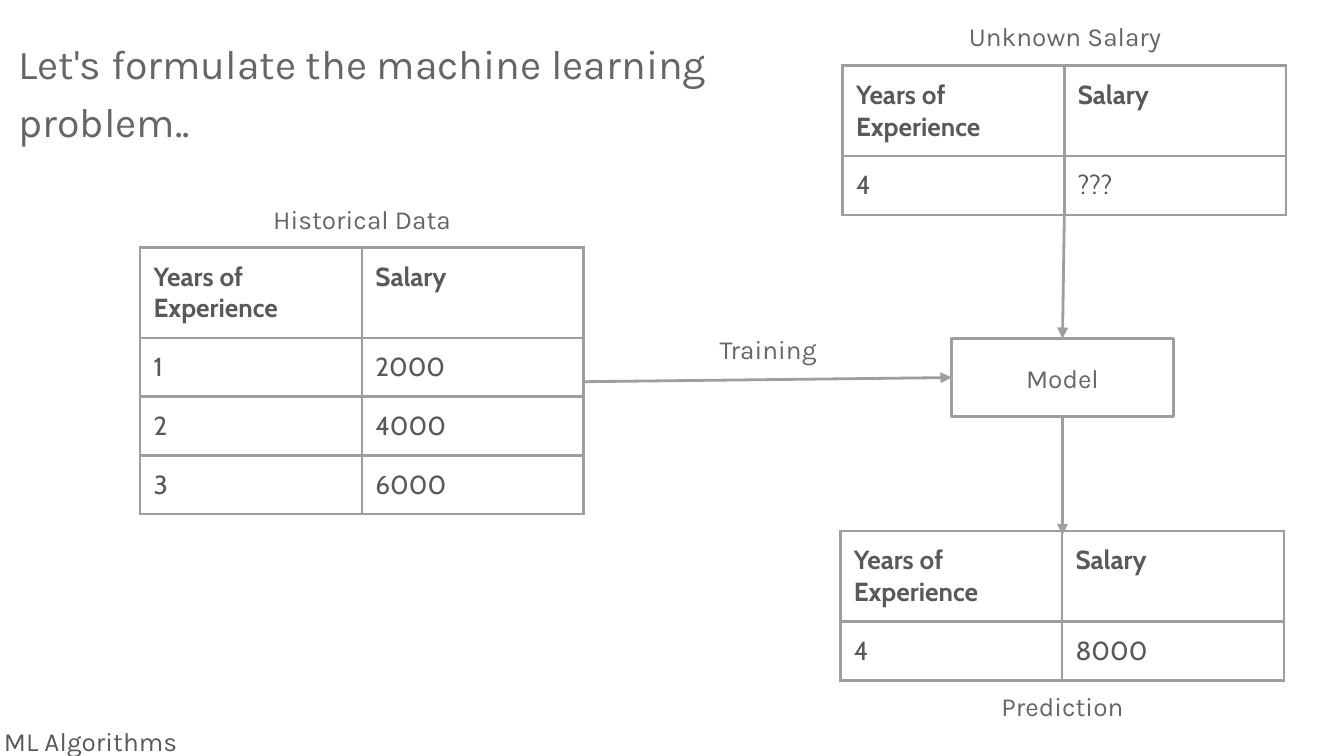
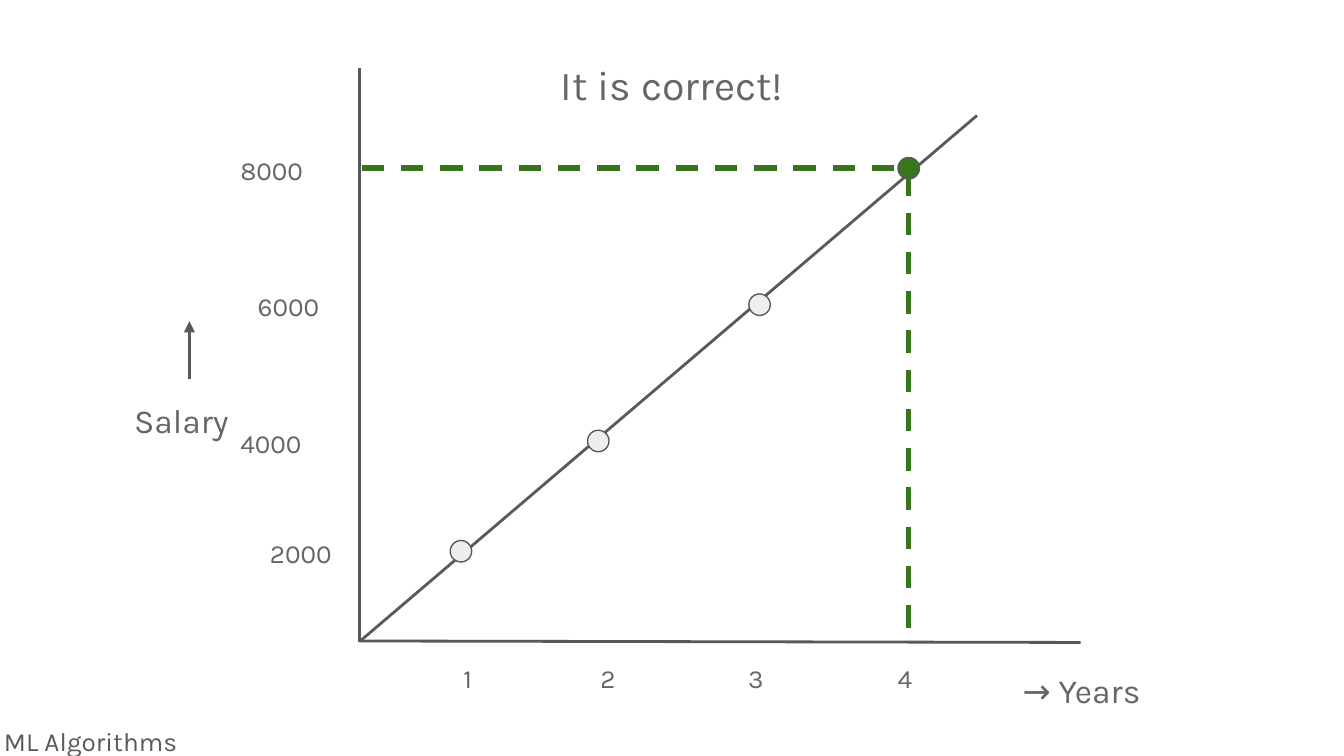
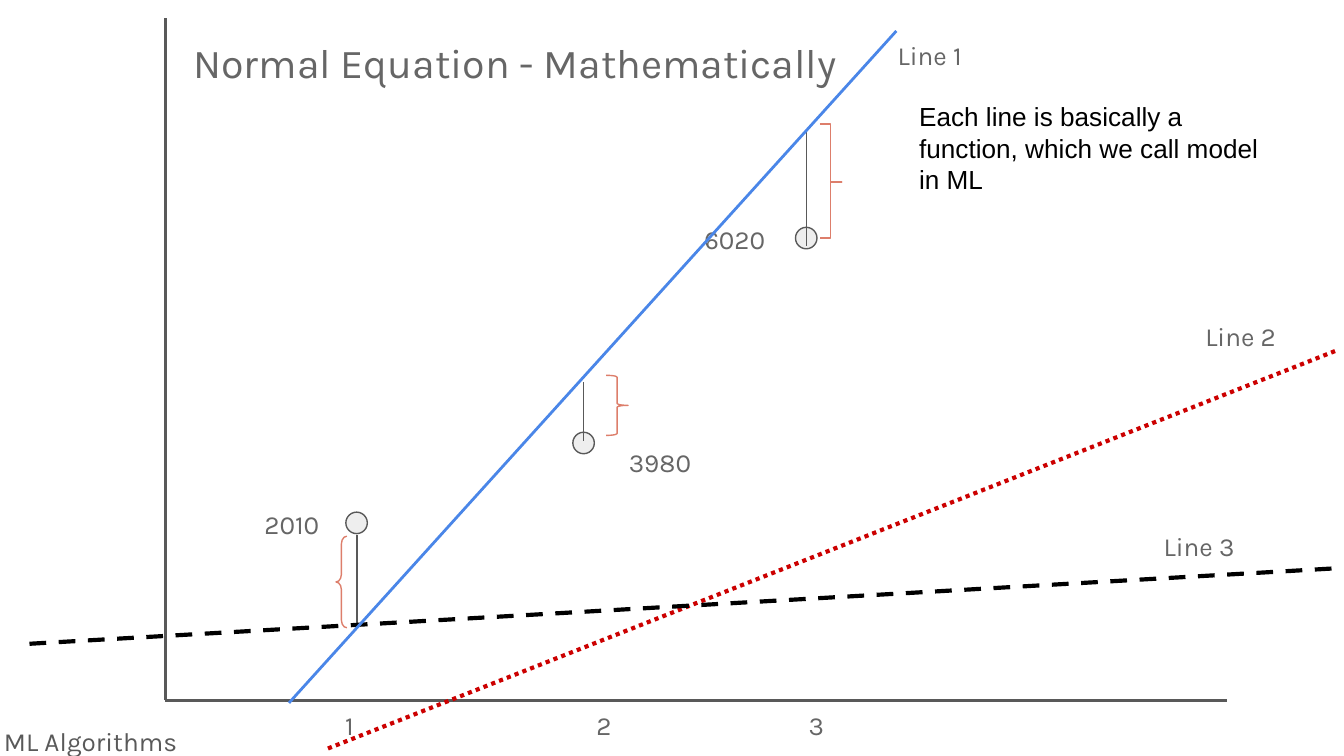
from lxml import etree
from pptx import Presentation
from pptx import util as u
from pptx.dml.color import RGBColor
from pptx.enum import dml, shapes, text
from pptx.oxml import ns

# Colours and fonts
INK = RGBColor(0x59, 0x59, 0x59)
GREY = RGBColor(0x66, 0x66, 0x66)
RULE = RGBColor(0x9E, 0x9E, 0x9E)
PALE = RGBColor(0xEE, 0xEE, 0xEE)
GREEN = RGBColor(0x38, 0x76, 0x1D)
CORAL = RGBColor(0xDD, 0x7E, 0x6B)
RED = RGBColor(0xCC, 0x00, 0x00)
BLUE = RGBColor(0x4A, 0x86, 0xE8)
BLACK = RGBColor(0x00, 0x00, 0x00)
KARLA, CABIN, ARIAL = "Karla", "Cabin", "Arial"

LEFT, CENTER = text.PP_ALIGN.LEFT, text.PP_ALIGN.CENTER
TOP, MIDDLE = text.MSO_ANCHOR.TOP, text.MSO_ANCHOR.MIDDLE
DASH, DOT = dml.MSO_LINE.DASH, dml.MSO_LINE.ROUND_DOT
KIND = shapes.MSO_SHAPE
INSET, LABEL_HEIGHT, DOT_SIZE = 7.2, 30.24, 11.52
COLUMN, ROW = 118.8, 30.24

# Content: places are in points
FOOTER = "ML Algorithms"
HEADER = ("Years of Experience", "Salary")
TABLES = [  # left, top, rows
    (75.1, 132.5, [("1", "2000"), ("2", "4000"), ("3", "6000")]),
    (451.4, 35.1, [("4", "???")]),
    (450.2, 284.5, [("4", "8000")]),
]
CAPTIONS = [  # wording, left, top
    ("Historical Data", 134.6, 102.2),
    ("Unknown Salary", 511.2, 4.3),
    ("Prediction", 509.8, 362.9),
    ("Training", 352.1, 172.1),
]
MODEL = (509.8, 181.4, COLUMN, 41.8)

FIT_POINTS = [  # year, label left, salary, label left, top, width, dot left, top, fill
    ("1", 241.2, "2000", 137.5, 280.8, 51.8, 241.2, 289.6, PALE),
    ("2", 314.6, "4000", 121.7, 221.8, 67, 314.8, 230.5, PALE),
    ("3", 393.8, "6000", 131, 148.3, 57.6, 401.2, 157.5, PALE),
    ("4", 473.8, "8000", 121.7, 75.6, 67, 481.1, 84.4, GREEN),
]
FIT_LINES = [  # start, end, colour, width, dash
    ((192.4, 343.4), (578.9, 344.2), INK, 1.5, None),
    ((192.4, 344.2), (192.4, 36.7), INK, 1.5, None),
    ((193, 343.4), (523.4, 61.9), INK, 1.5, None),
    ((193.7, 90.1), (487.4, 90.1), GREEN, 3, DASH),
    ((486.8, 92.9), (486.8, 342.7), GREEN, 3, DASH),
]
AXIS_NAMES = [("→ Years", 540.7, 347.8, 128.2), ("Salary", 64.8, 203, 72.7)]

AXES = [((88.6, 375.1), (88.6, 9.4)), ((88.6, 375.1), (657.4, 375.1))]
ERRORS = [  # salary, label left, top, dot left, top, error line x, from, to
    ("2010", 134.6, 265, 185.3, 274.4, 191.3, 286.6, 335.5),
    ("3980", 329.8, 231.8, 306.9, 231.6, 312.5, 236.2, 204.5),
    ("6020", 370.1, 112.3, 426.2, 121.8, 432, 131.8, 70.6),
]
BRACES = [  # preset, left, top, width, height, adjustments
    (KIND.LEFT_BRACE, 180, 287.3, 5.8, 49, (0.702, 0.5)),
    (KIND.RIGHT_BRACE, 439.2, 66.4, 11.8, 61.2, (0, 0.508)),
    (KIND.RIGHT_BRACE, 324.7, 201.1, 11.8, 32.2, (0.083, 0.5)),
]
MODEL_LINES = [
    ((175.7, 401), (715.7, 187.9), RED, 2.25, DOT),
    ((15.8, 344.9), (713.5, 304.6), BLACK, 2.25, DASH),
    ((154.8, 376.6), (480.2, 16.6), BLUE, 1.5, None),
]
LINE_NAMES = [("Line 1", 473.8, 13.7), ("Line 2", 638.6, 164.2),
              ("Line 3", 616.3, 277.2)]
YEARS = [("1", 177.8), ("2", 312.5), ("3", 426.2)]
REMARK = "Each line is basically a function, which we call model in ML"


def points(*values):
    return [u.Pt(value) for value in values]


def write(frame, words, size=14, font=KARLA, color=GREY, align=LEFT,
          anchor=TOP, spacing=None, bold=False):
    frame.word_wrap = True
    if hasattr(frame, "auto_size"):
        frame.auto_size = text.MSO_AUTO_SIZE.NONE
    frame.vertical_anchor = anchor
    frame.margin_left = frame.margin_right = u.Pt(INSET)
    frame.margin_top = frame.margin_bottom = u.Pt(INSET)
    para = frame.paragraphs[0]
    para.alignment = align
    if spacing:
        para.line_spacing = spacing
    span = para.add_run()
    span.text = words
    span.font.size, span.font.name = u.Pt(size), font
    span.font.bold, span.font.color.rgb = bold, color


def add_label(page, words, left, top, width, height=LABEL_HEIGHT, **style):
    box = page.shapes.add_textbox(*points(left, top, width, height))
    write(box.text_frame, words, **style)


def add_page(deck, title, place, **style):
    page = deck.slides.add_slide(deck.slide_layouts[5])
    heading = page.shapes.title
    heading.left, heading.top, heading.width, heading.height = points(*place)
    write(heading.text_frame, title, size=22, spacing=1.18, **style)
    add_label(page, FOOTER, -5, 381.6, 146.2, 13.7, color=INK)
    return page


def add_line(page, start, end, color=INK, width=1.5, dash=None, arrow=False):
    line = page.shapes.add_connector(
        shapes.MSO_CONNECTOR.STRAIGHT, *points(*start, *end))
    line.line.color.rgb, line.line.width = color, u.Pt(width)
    if dash:
        line.line.dash_style = dash
    properties = line._element.spPr
    if arrow:
        etree.SubElement(properties.find(ns.qn("a:ln")), ns.qn("a:tailEnd"),
                         type="triangle")
    etree.SubElement(properties, ns.qn("a:effectLst"))
    return line


def add_outline(page, kind, place, color, width, fill=None):
    shape = page.shapes.add_shape(kind, *points(*place))
    shape.shadow.inherit = False
    if fill is None:
        shape.fill.background()
    else:
        shape.fill.solid()
        shape.fill.fore_color.rgb = fill
    shape.line.color.rgb, shape.line.width = color, u.Pt(width)
    return shape


def add_dot(page, left, top, fill=PALE):
    add_outline(page, KIND.OVAL, (left, top, DOT_SIZE, DOT_SIZE), INK, 0.75, fill)


def frame_cell(cell):
    properties = cell._tc.get_or_add_tcPr()
    for side in ("lnL", "lnR", "lnT", "lnB"):
        edge = etree.SubElement(properties, ns.qn("a:" + side), w=str(u.Pt(1.5)))
        paint = etree.SubElement(edge, ns.qn("a:solidFill"))
        etree.SubElement(paint, ns.qn("a:srgbClr"), val=str(RULE))
    cell.fill.background()


class CellFrame:
    """Lets write() treat a table cell like a text frame."""

    def __new__(cls, cell):
        cell.vertical_anchor = TOP
        cell.margin_left = cell.margin_right = u.Pt(INSET)
        cell.margin_top = cell.margin_bottom = u.Pt(INSET)
        return cell.text_frame


def add_salaries(page, left, top, rows):
    rows = [HEADER] + rows
    table = page.shapes.add_table(len(rows), 2, *points(
        left, top, 2 * COLUMN, ROW * len(rows))).table
    table.first_row = table.horz_banding = False
    for column in table.columns:
        column.width = u.Pt(COLUMN)
    for r, row in enumerate(rows):
        for c, words in enumerate(row):
            cell = table.cell(r, c)
            cell.vertical_anchor = TOP
            cell.margin_left = cell.margin_right = u.Pt(INSET)
            cell.margin_top = cell.margin_bottom = u.Pt(INSET)
            span = cell.text_frame.paragraphs[0].add_run()
            span.text = words
            span.font.size, span.font.name = u.Pt(14), CABIN
            span.font.bold, span.font.color.rgb = r == 0, INK
            frame_cell(cell)


def build_problem(deck):
    page = add_page(deck, "Let's formulate the machine learning problem..",
                    (2.9, 8.6, 445, 41.8))
    for left, top, rows in TABLES:
        add_salaries(page, left, top, rows)
    model = add_outline(page, KIND.RECTANGLE, MODEL, RULE, 1.5)
    write(model.text_frame, "Model", align=CENTER, anchor=MIDDLE)
    left, top, width, height = MODEL
    middle, bottom = left + width / 2, top + height
    # Arrows into and out of the model
    arrow = {"color": RULE, "arrow": True}
    add_line(page, (313.2, 204.5), (left, top + height / 2),
             **arrow).end_connect(model, 1)
    add_line(page, (570.2, 114.5), (middle, top), **arrow).end_connect(model, 0)
    add_line(page, (middle, bottom), (middle, 286.6),
             **arrow).begin_connect(model, 2)
    for words, left, top in CAPTIONS:
        add_label(page, words, left, top, COLUMN, align=CENTER, anchor=MIDDLE)


def build_fit(deck):
    page = add_page(deck, "It is correct!", (243.4, 27.4, 233.3, LABEL_HEIGHT),
                    align=CENTER, anchor=MIDDLE)
    for line in FIT_LINES:
        add_line(page, *line)
    for year, year_left, salary, left, top, width, *dot in FIT_POINTS:
        add_label(page, year, year_left, 347.8, 26.6)
        add_label(page, salary, left, top, width)
        add_dot(page, *dot)
    for words, left, top, width in AXIS_NAMES:
        add_label(page, words, left, top, width, size=18, spacing=1.18)
    add_line(page, (101.5, 203), (101.5, 172.1), arrow=True)


def build_equation(deck):
    page = add_page(deck, "Normal Equation - Mathematically",
                    (96.5, 7.9, 383.8, 41.8))
    for start, end in AXES:
        add_line(page, start, end)
    # Observed points and their distance to the first line
    for salary, left, top, dot_left, dot_top, x, y_from, y_to in ERRORS:
        add_dot(page, dot_left, dot_top)
        add_label(page, salary, left, top, 48.2)
        add_line(page, (x, y_from), (x, y_to), width=0.75)
    for kind, *place, bends in BRACES:
        brace = add_outline(page, kind, place, CORAL, 0.75)
        for i, bend in enumerate(bends):
            brace.adjustments[i] = bend
    # Candidate lines and labels
    for line in MODEL_LINES:
        add_line(page, *line)
    for words, left, top in LINE_NAMES:
        add_label(page, words, left, top, 66.2)
    for year, left in YEARS:
        add_label(page, year, left, 373, 26.6)
    add_label(page, REMARK, 485.3, 46.8, 198, 61.2, font=ARIAL, color=BLACK)


def main():
    deck = Presentation()
    deck.slide_width, deck.slide_height = points(720, 405)
    build_problem(deck)
    build_fit(deck)
    build_equation(deck)
    deck.save("out.pptx")


if __name__ == "__main__":
    main()
